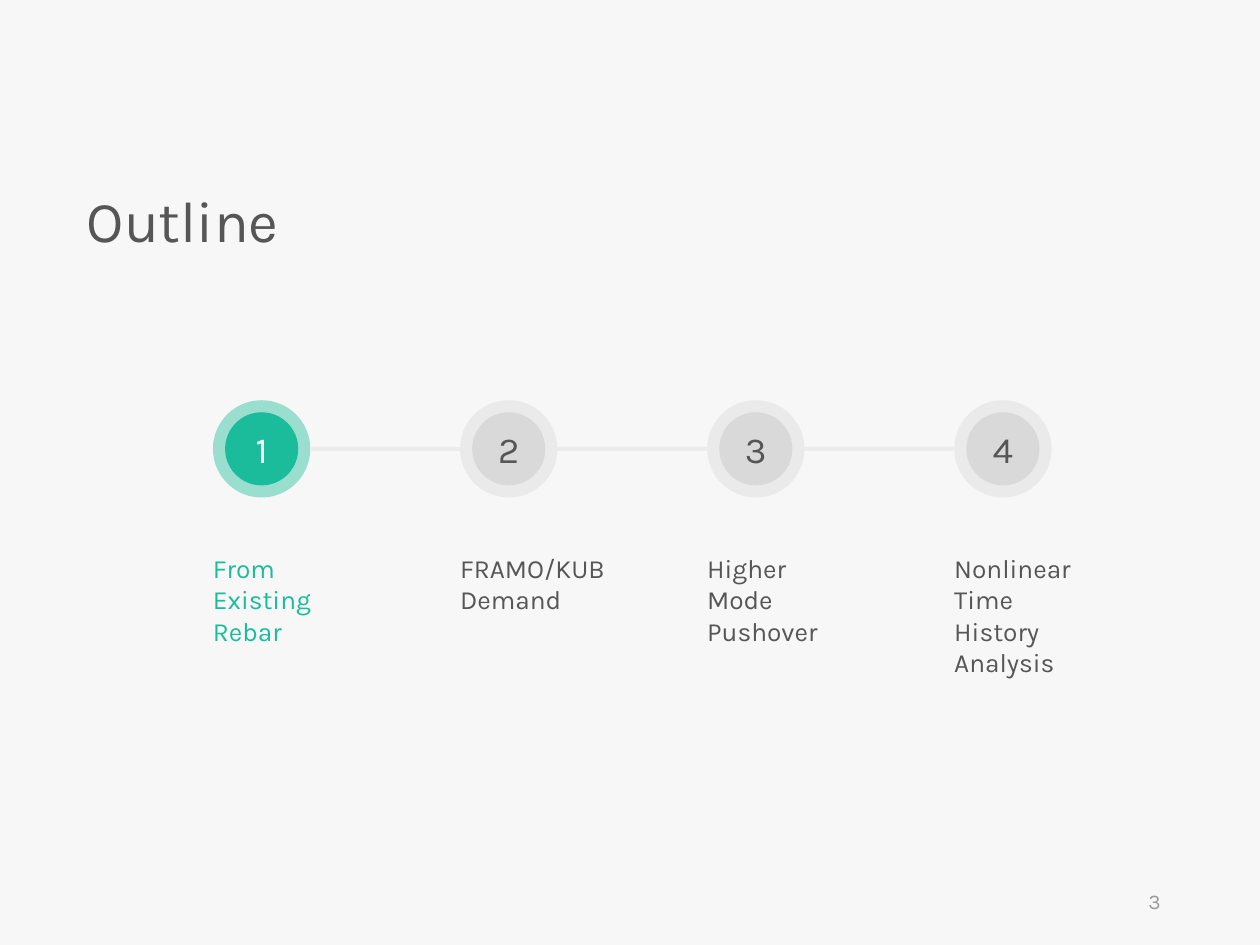
from pptx import Presentation
from pptx.dml.color import RGBColor
from pptx.enum.shapes import MSO_CONNECTOR, MSO_SHAPE
from pptx.enum.text import MSO_ANCHOR, PP_ALIGN
from pptx.oxml.ns import qn
from pptx.util import Pt
from lxml import etree

OVAL, LINE = MSO_SHAPE.OVAL, MSO_CONNECTOR.STRAIGHT
TOP, MID = MSO_ANCHOR.TOP, MSO_ANCHOR.MIDDLE
LEFT, MIDDLE, RIGHT = PP_ALIGN.LEFT, PP_ALIGN.CENTER, PP_ALIGN.RIGHT


def tint(text):
    return RGBColor.from_string(text)


def write(shape, text, size=15, color="565656", font="Karla", align=LEFT,
          anchor=TOP, inset=7.2, space=None):
    frame = shape.text_frame
    frame.word_wrap = True
    frame.vertical_anchor = anchor
    frame.margin_left, frame.margin_right = Pt(inset), Pt(7.2)
    frame.margin_top = frame.margin_bottom = Pt(3.6)
    para = frame.paragraphs[0]
    para.alignment = align
    if space:
        para.line_spacing = space
    run = para.add_run()
    run.text = text
    run.font.size, run.font.name = Pt(size), font
    run.font.color.rgb = tint(color)


class Deck:
    teal, gray, rule, back = "1ABC9C", "D9D9D9", "EDECEC", "F7F7F7"
    dark, white, pale = "565656", "FFFFFF", "9A9A9A"

    def __init__(self):
        self.file = Presentation()
        self.file.slide_width, self.file.slide_height = Pt(720), Pt(540)
        self.slide = self.file.slides.add_slide(self.file.slide_layouts[5])
        fill = self.slide.background.fill
        fill.solid()
        fill.fore_color.rgb = tint(self.back)

    def title(self, text, x, y, w, h):
        shape = self.slide.shapes.title
        shape.left, shape.top, shape.width, shape.height = map(Pt, (x, y, w, h))
        write(shape, text, size=33, inset=0, space=0.9)

    def label(self, text, x, y, w, h, **form):
        box = self.slide.shapes.add_textbox(Pt(x), Pt(y), Pt(w), Pt(h))
        write(box, text, **form)

    def disc(self, group, x, y, size, color, alpha=None):
        shape = group.shapes.add_shape(OVAL, Pt(x), Pt(y), Pt(size), Pt(size))
        shape.shadow.inherit = False
        shape.fill.solid()
        shape.fill.fore_color.rgb = tint(color)
        shape.line.fill.background()
        if alpha:
            node = shape._element.spPr.find(".//" + qn("a:srgbClr"))
            etree.SubElement(node, qn("a:alpha")).set("val", str(alpha * 1000))
        return shape

    def badge(self, text, x, y, size, inner, color, ink):
        group = self.slide.shapes.add_group_shape()
        gap = (size - inner) / 2
        self.disc(group, x + gap, y + gap, inner, color)
        ring = self.disc(group, x, y, size, color, alpha=42)
        write(ring, text, size=21, color=ink, align=MIDDLE, anchor=MID)

    def link(self, start, end, y):
        line = self.slide.shapes.add_connector(LINE, Pt(start), Pt(y), Pt(end), Pt(y))
        line.line.color.rgb = tint(self.rule)
        line.line.width = Pt(2.25)
        etree.SubElement(line._element.spPr, qn("a:effectLst"))


deck = Deck()
deck.title("Outline", 49.6, 106.5, 265, 43)

# Numbered steps, the first one active
steps = ["From Existing Rebar", "FRAMO/KUB Demand", "Higher Mode Pushover",
         "Nonlinear Time History Analysis"]
first, pitch, top, size, inner = 121.7, 141.2, 228.7, 55.6, 41.8
for i, step in enumerate(steps):
    x = first + i * pitch
    color, ink, text = ((deck.gray, deck.dark, deck.dark) if i
                        else (deck.teal, deck.white, deck.teal))
    if i:
        deck.link(x - pitch + size, x, top + size / 2)
    deck.badge(str(i + 1), x, top, size, inner, color, ink)
    deck.label(step, x, 311.8, 91.4, 62 if i == 3 else 44, color=text, inset=0)

# Page number
deck.label("3", 508.3, 500.4, 162, 28.8, size=12, color=deck.pale,
           align=RIGHT, anchor=MID)

deck.file.save("out.pptx")
